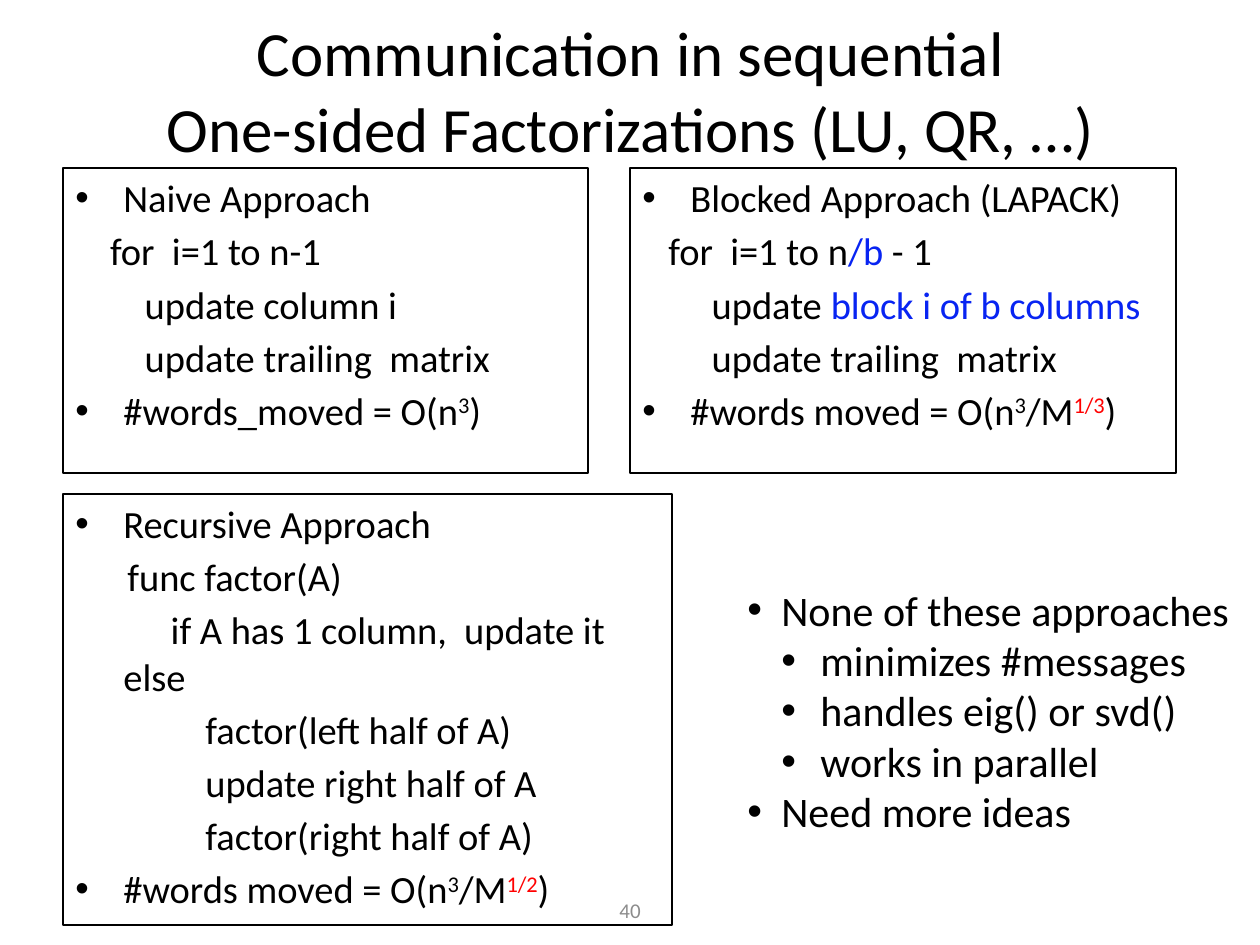
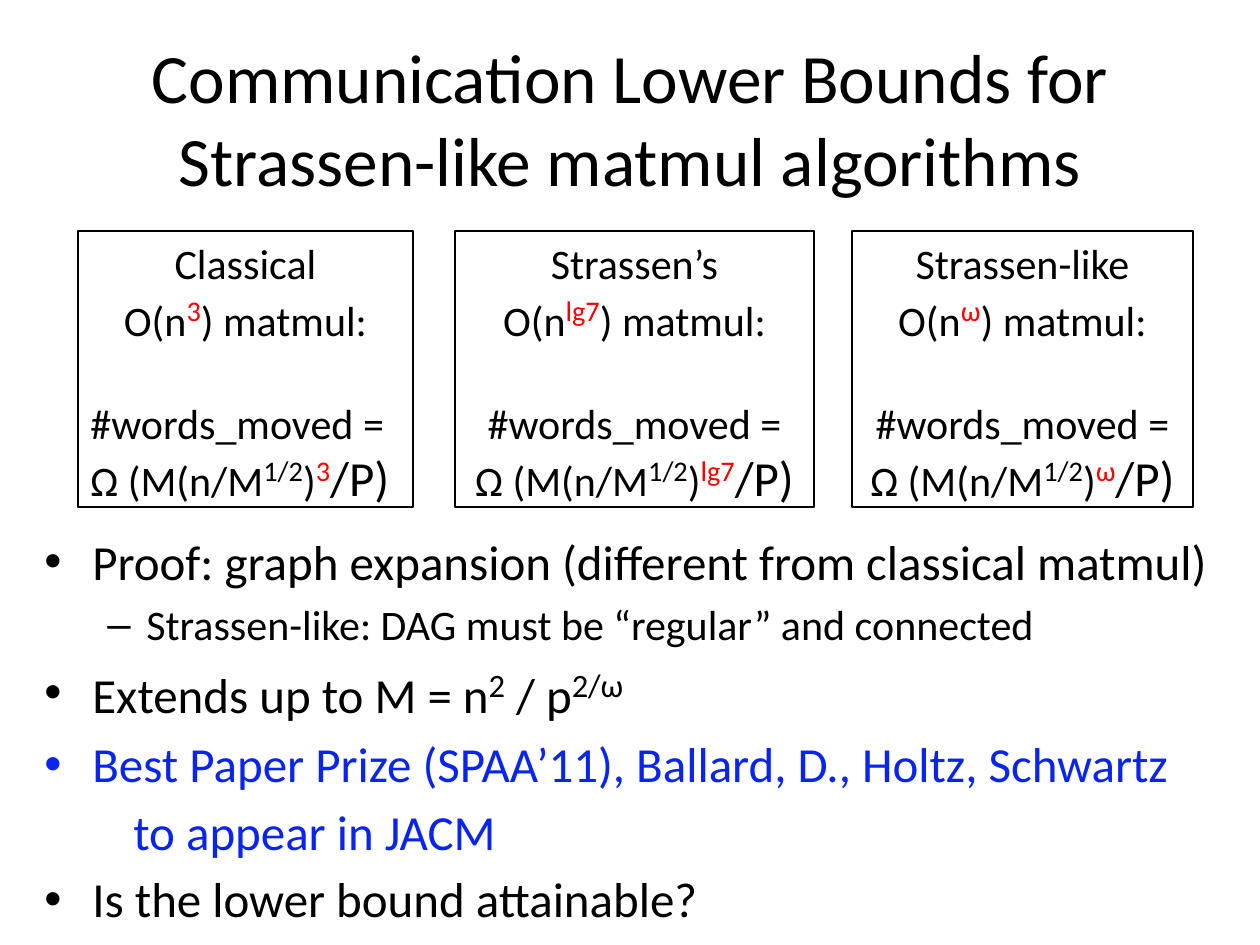
"""Build two slides on communication costs of factorizations and matrix multiplication."""
import pptx
import pptx.dml.color
import pptx.enum.shapes
import pptx.enum.text
import pptx.util
from lxml import etree

BLACK = pptx.dml.color.RGBColor(0x00, 0x00, 0x00)
BLUE = pptx.dml.color.RGBColor(0x08, 0x24, 0xF2)
RED = pptx.dml.color.RGBColor(0xFF, 0x00, 0x00)
GRAY = pptx.dml.color.RGBColor(0x8C, 0x8C, 0x8C)
FACE = "Calibri"
EMU_PER_PX = 914400 / 126
A = "http://schemas.openxmlformats.org/drawingml/2006/main"
CENTER = pptx.enum.text.PP_ALIGN.CENTER
LEFT = pptx.enum.text.PP_ALIGN.LEFT
TOP = pptx.enum.text.MSO_ANCHOR.TOP
MIDDLE = pptx.enum.text.MSO_ANCHOR.MIDDLE

STYLES = {
    "title": {"align": CENTER},
    "center": {"align": CENTER},
    "left": {},
    "bullet": {"left": 48, "first": -48, "bullet": "•", "spaced": True},
    "code": {"left": 48, "first": -48, "spaced": True},
    "dash": {"left": 102, "first": -39, "bullet": "–", "level": 1, "spaced": True},
    "continued": {"left": 89, "spaced": True},
    "remark": {"left": 34, "first": -34, "bullet": "•"},
    "subremark": {"left": 73, "first": -39, "bullet": "•", "level": 1},
}
RUN_KINDS = {
    "plain": {},
    "blue": {"color": BLUE},
    "sup": {"raised": True},
    "redsup": {"color": RED, "raised": True},
}


def words_moved(label, exponent):
    return ("bullet", [label + " = O(n", ("3", "sup"), "/M", (exponent, "redsup"), ")"])


NAIVE = [
    ("bullet", ["Naive Approach"]),
    ("code", ["    for  i=1 to n-1"]),
    ("code", ["        update column i"]),
    ("code", ["        update trailing  matrix"]),
    ("bullet", ["#words_moved = O(n", ("3", "sup"), ")"]),
]
BLOCKED = [
    ("bullet", ["Blocked Approach (LAPACK)"]),
    ("code", ["   for  i=1 to n", ("/b ", "blue"), "- 1"]),
    ("code", ["        update ", ("block i of b columns", "blue")]),
    ("code", ["        update trailing  matrix"]),
    words_moved("#words moved", "1/3"),
]
RECURSIVE = [
    ("bullet", ["Recursive Approach"]),
    ("code", ["      func factor(A)"]),
    ("code", ["           if A has 1 column,  update it else"]),
    ("code", ["               factor(left half of A)"]),
    ("code", ["               update right half of A"]),
    ("code", ["               factor(right half of A)"]),
    words_moved("#words moved", "1/2"),
]
REMARKS = [
    ("remark", ["None of these approaches"]),
    ("subremark", ["minimizes #messages"]),
    ("subremark", ["handles eig() or svd()"]),
    ("subremark", ["works in parallel"]),
    ("remark", ["Need more ideas"]),
]
APPROACHES = [
    ((63, 168, 525, 305), NAIVE),
    ((630, 168, 546, 305), BLOCKED),
    ((63, 494, 609, 431), RECURSIVE),
]
BOUNDS = [
    ("Classical", "3", "left", 78, 335),
    ("Strassen’s", "lg7", "center", 455, 359),
    ("Strassen-like", "ω", "center", 852, 341),
]
BOUNDS_TOP, BOUNDS_HEIGHT = 231, 276
FINDINGS = [
    ("bullet", ["Proof: graph expansion (different from classical matmul)"]),
    ("dash", [("Strassen-like: DAG must be “regular” and connected", "plain", 24)]),
    ("bullet", ["Extends up to M = n", ("2", "sup", 32), " / p", ("2/ω", "sup", 32)]),
    ("bullet", [("Best Paper Prize (SPAA’11), Ballard, D., Holtz, Schwartz", "blue")]),
    ("continued", [("to appear in JACM", "blue")]),
    ("bullet", ["Is the lower bound attainable?"]),
]


def px(length):
    return pptx.util.Emu(round(length * EMU_PER_PX))


def write_run(paragraph, piece, size, color):
    text, kind, run_size = ((piece,) if isinstance(piece, str) else piece) + (
        ("plain", size) if isinstance(piece, str) else (size,) if len(piece) == 2 else ())
    look = RUN_KINDS[kind]
    for index, line in enumerate(text.split("\n")):
        if index:
            paragraph.add_line_break()
        run = paragraph.add_run()
        run.text = line
        for name, value in {"name": FACE, "size": pptx.util.Pt(run_size)}.items():
            setattr(run.font, name, value)
        run.font.color.rgb = look.get("color", color)
        if look.get("raised"):
            run.font._element.set("baseline", "30000")


def write(frame, paragraphs, size, color=BLACK, anchor=TOP):
    for name, value in {"word_wrap": True, "vertical_anchor": anchor}.items():
        setattr(frame, name, value)
    for index, (style_name, pieces, *gap) in enumerate(paragraphs):
        style = STYLES[style_name]
        paragraph = frame.add_paragraph() if index else frame.paragraphs[0]
        properties = paragraph._p.get_or_add_pPr()
        properties.set("marL", str(px(style.get("left", 0))))
        properties.set("indent", str(px(style.get("first", 0))))
        if "bullet" in style:
            etree.SubElement(properties, f"{{{A}}}buFont", typeface="Arial")
            etree.SubElement(properties, f"{{{A}}}buChar", char=style["bullet"])
        else:
            etree.SubElement(properties, f"{{{A}}}buNone")
        before = gap[0] if gap else round(size * 0.19) if style.get("spaced") and index else 0
        formats = {"alignment": style.get("align", LEFT), "level": style.get("level", 0),
                   "space_before": pptx.util.Pt(before)}
        for name, value in formats.items():
            setattr(paragraph, name, value)
        for piece in pieces:
            write_run(paragraph, piece, size, color)


def add_text(slide, place, paragraphs, size, **options):
    text = slide.shapes.add_textbox(*map(px, place))
    write(text.text_frame, paragraphs, size, **options)


def add_panel(slide, place, paragraphs, size):
    panel = slide.shapes.add_shape(pptx.enum.shapes.MSO_SHAPE.RECTANGLE, *map(px, place))
    panel.shadow.inherit = False
    panel.fill.background()
    panel.line.color.rgb = BLACK
    panel.line.width = pptx.util.Pt(0.75)
    write(panel.text_frame, paragraphs, size)


def add_slide(deck, title, place, size):
    slide = deck.slides.add_slide(deck.slide_layouts[6])
    add_text(slide, place, [("title", [title])], size, anchor=MIDDLE)
    return slide


def bound_paragraphs(method, exponent, formula_style):
    power = (exponent, "redsup", 28)
    return [
        ("center", [method]),
        ("center", ["O(n", power, ") matmul:"]),
        (formula_style, ["#words_moved ="], 29),
        (formula_style, ["Ω (M(n/M", ("1/2", "sup", 28), ")", power, ("/P)", "plain", 28)]),
    ]


def main():
    deck = pptx.Presentation()
    deck.slide_width, deck.slide_height = px(1260), px(945)

    factorizations = add_slide(
        deck, "Communication in sequential\nOne-sided Factorizations (LU, QR, …)",
        (32, 10, 1197, 158), 36)
    add_text(factorizations, (483, 885, 294, 50), [("center", ["40"])], 12,
             color=GRAY, anchor=MIDDLE)
    for place, steps in APPROACHES:
        add_panel(factorizations, place, steps, 22)
    add_text(factorizations, (735, 578, 525, 267), REMARKS, 24)

    bounds = add_slide(
        deck, "Communication Lower Bounds for Strassen-like matmul algorithms",
        (63, 38, 1134, 158), 39.6)
    add_text(bounds, (32, 525, 1207, 420), FINDINGS, 28)
    for method, exponent, formula_style, left, width in BOUNDS:
        add_panel(bounds, (left, BOUNDS_TOP, width, BOUNDS_HEIGHT),
                  bound_paragraphs(method, exponent, formula_style), 24)

    deck.save("out.pptx")


if __name__ == "__main__":
    main()
